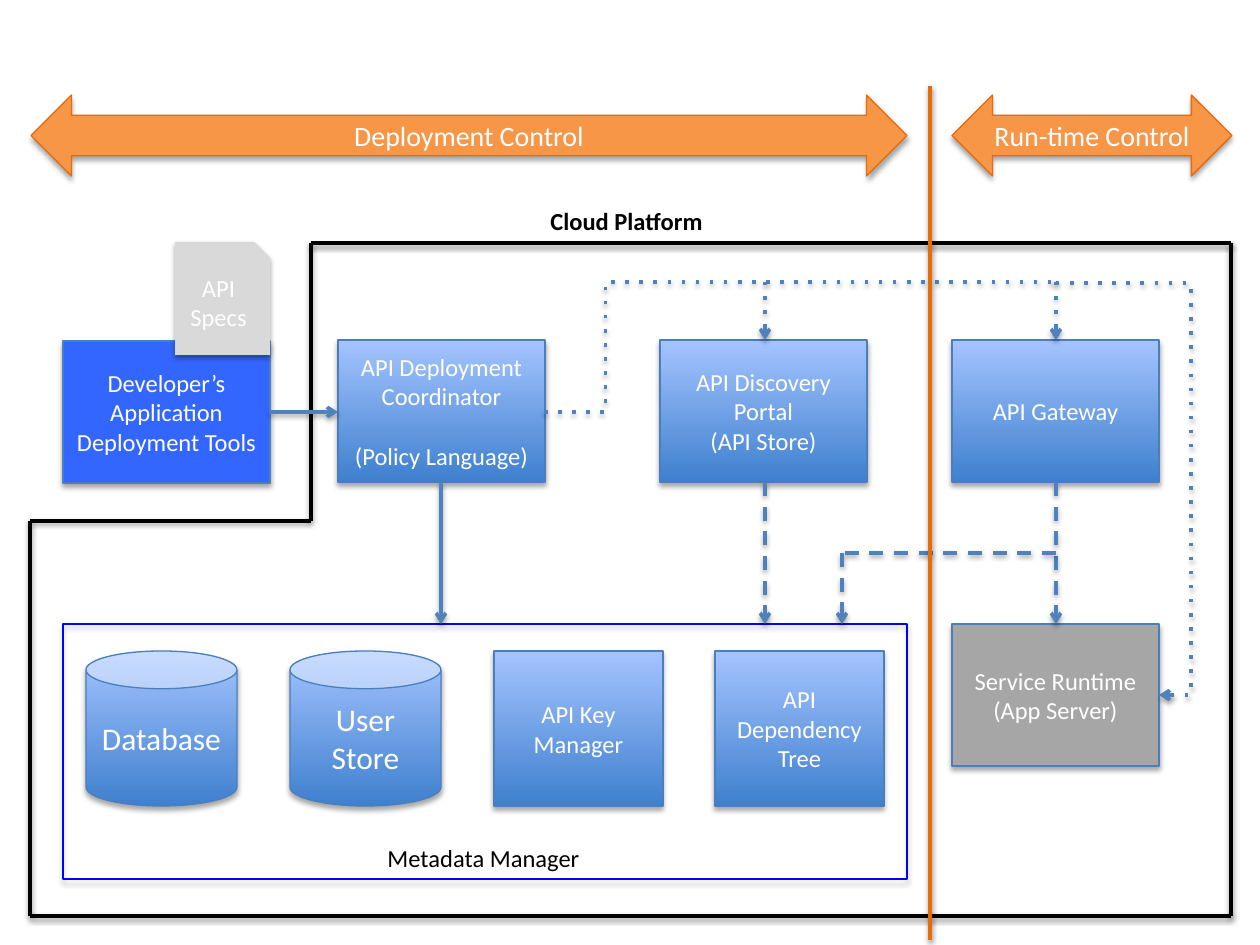
from dataclasses import dataclass
from typing import Optional

from lxml.etree import SubElement
from pptx import Presentation
from pptx.dml.color import RGBColor
from pptx.enum.shapes import MSO_CONNECTOR as Link, MSO_SHAPE as Form
from pptx.enum.text import MSO_ANCHOR as Anchor, PP_ALIGN as Align
from pptx.oxml.ns import qn
from pptx.util import Pt

PIXEL = 914400 / 126
FONT = "Calibri"
BLUE_EDGE, BLUE_LINK, ORANGE_EDGE = "4B7EBC", "4F81BD", "E46C0A"
ORANGE, WHITE, BLACK = "F79646", "FFFFFF", "000000"
GRADIENT = ("3F80CE", "A4C4FF")


@dataclass
class Block:
    """A preset shape with centred text; lengths are pixels."""
    left: int
    top: int
    width: int
    height: int
    lines: tuple = ()
    fill: Optional[str] = "gradient"
    edge: Optional[str] = BLUE_EDGE
    form: Form = Form.RECTANGLE
    size: int = 14
    gap: int = 0


@dataclass
class Wire:
    """A line between two points; bend is the elbow position, if any."""
    x1: int
    y1: int
    x2: int
    y2: int
    color: str = BLUE_LINK
    dash: Optional[str] = None
    arrow: bool = True
    bend: Optional[float] = None
    weight: float = 2


def emu(pixels: float) -> int:
    """Turn pixels into EMU."""
    return round(pixels * PIXEL)


def rgb(value: str) -> RGBColor:
    """Turn a hex string into a colour."""
    return RGBColor.from_string(value)


def add_shadow(properties, alpha: int, distance: float) -> None:
    """Put a soft downward shadow into the effect list."""
    effects = properties.find(qn("a:effectLst"))
    if effects is None:
        effects = SubElement(properties, qn("a:effectLst"))
    shadow = SubElement(effects, qn("a:outerShdw"), blurRad=str(Pt(3.1)),
                        dist=str(Pt(distance)), dir="5400000", rotWithShape="0")
    color = SubElement(shadow, qn("a:srgbClr"), val=BLACK)
    SubElement(color, qn("a:alpha"), val=str(alpha * 1000))


def style_text(para, text: str, size: int, color: str, bold: bool = False) -> None:
    """Write one paragraph and set its font."""
    para.text = text
    para.font.name = FONT
    para.font.size = Pt(size)
    para.font.bold = bold
    para.font.color.rgb = rgb(color)


def draw_block(page, block: Block) -> None:
    """Draw a shape with its fill, edge, shadow and text."""
    box = page.shapes.add_shape(block.form, emu(block.left), emu(block.top),
                                emu(block.width), emu(block.height))
    box.shadow.inherit = False
    if block.fill is None:
        box.fill.background()
    elif block.fill == "gradient":
        box.fill.gradient()
        box.fill.gradient_angle = 90
        for stop, color in zip(box.fill.gradient_stops, GRADIENT):
            stop.color.rgb = rgb(color)
    else:
        box.fill.solid()
        box.fill.fore_color.rgb = rgb(block.fill)
    if block.edge:
        box.line.color.rgb = rgb(block.edge)
        box.line.width = Pt(0.75)
    else:
        box.line.fill.background()
    add_shadow(box.element.spPr, 35, 1.8)
    frame = box.text_frame
    frame.word_wrap = True
    frame.vertical_anchor = Anchor.MIDDLE
    for index, text in enumerate(block.lines):
        para = frame.add_paragraph() if index else frame.paragraphs[0]
        style_text(para, text, block.size, WHITE)
        para.alignment = Align.CENTER
        if index and block.gap:
            para.space_before = Pt(block.gap)


def draw_wire(page, wire: Wire) -> None:
    """Draw a straight or elbow connector."""
    kind = Link.STRAIGHT if wire.bend is None else Link.ELBOW
    link = page.shapes.add_connector(kind, emu(wire.x1), emu(wire.y1),
                                     emu(wire.x2), emu(wire.y2))
    link.line.color.rgb = rgb(wire.color)
    link.line.width = Pt(wire.weight)
    properties = link.element.spPr
    outline = properties.find(qn("a:ln"))
    if wire.dash:
        SubElement(outline, qn("a:prstDash"), val=wire.dash)
    if wire.arrow:
        SubElement(outline, qn("a:tailEnd"), type="arrow")
    if wire.bend is not None:
        guides = properties.find(qn("a:prstGeom")).get_or_add_avLst()
        SubElement(guides, qn("a:gd"), name="adj1",
                   fmla=f"val {round(wire.bend * 100000)}")
    add_shadow(properties, 38, 1.6)


def draw_label(page, left: int, top: int, width: int, text: str, bold: bool) -> None:
    """Draw a one-line black label."""
    box = page.shapes.add_textbox(emu(left), emu(top), emu(width), emu(43))
    box.text_frame.word_wrap = False
    style_text(box.text_frame.paragraphs[0], text, 14, BLACK, bold)


CARD = (207, 142)
CAN = (151, 155)
STORE = (169, 155)
BLOCKS = [
    Block(63, 341, *CARD, ("Developer’s Application Deployment Tools",), "3366FF"),
    Block(338, 340, *CARD, ("API Deployment Coordinator", "(Policy Language)"), gap=17),
    Block(660, 340, *CARD, ("API Discovery Portal", "(API Store)")),
    Block(952, 340, *CARD, ("API Gateway",)),
    Block(952, 624, *CARD, ("Service Runtime", "(App Server)"), "A6A6A6"),
    Block(63, 624, 844, 255, fill=None, edge="0000FF"),
    Block(86, 651, *CAN, ("Database",), form=Form.CAN, size=18),
    Block(290, 651, *CAN, ("User Store",), form=Form.CAN, size=18),
    Block(494, 651, *STORE, ("API Key Manager",)),
    Block(715, 651, *STORE, ("API Dependency Tree",)),
]
FLOWS = [
    Wire(441, 482, 441, 624),
    Wire(765, 482, 765, 624, dash="dash"),
    Wire(1056, 482, 1056, 624, dash="dash"),
    Wire(544, 412, 1056, 282, dash="dot", arrow=False, bend=0.12),
    Wire(765, 282, 765, 340, dash="dot"),
    Wire(1056, 283, 1159, 695, dash="dot", bend=1.31),
    Wire(1056, 282, 1056, 340, dash="dot"),
    Wire(1056, 553, 842, 553, dash="dash", arrow=False),
    Wire(842, 553, 842, 624, dash="dash"),
]
PLATFORM = [(30, 916), (30, 521), (311, 521), (311, 243), (1231, 243), (1231, 916)]
BORDER = [Wire(*start, *end, color=BLACK, arrow=False)
          for start, end in zip(PLATFORM, PLATFORM[1:] + PLATFORM[:1])]
DIVIDER = Wire(930, 86, 930, 940, color=ORANGE_EDGE, arrow=False, weight=2.75)
PHASES = [Block(left, 95, width, 81, (text,), ORANGE, ORANGE_EDGE,
                Form.LEFT_RIGHT_ARROW, 16)
          for left, width, text in [(31, 876, "Deployment Control"),
                                    (952, 280, "Run-time Control")]]
SPECS = Block(175, 242, 95, 113, ("API Specs",), "D9D9D9", None,
              Form.SNIP_1_RECTANGLE)


def main() -> None:
    """Build and save the slide."""
    deck = Presentation()
    deck.slide_width, deck.slide_height = emu(1260), emu(945)
    page = deck.slides.add_slide(deck.slide_layouts[6])
    for block in BLOCKS:
        draw_block(page, block)
    draw_label(page, 375, 837, 220, "Metadata Manager", False)
    for wire in FLOWS:
        draw_wire(page, wire)
    draw_label(page, 538, 200, 179, "Cloud Platform", True)
    for wire in [*BORDER, Wire(270, 412, 338, 412), DIVIDER]:
        draw_wire(page, wire)
    for block in [*PHASES, SPECS]:
        draw_block(page, block)
    deck.save("out.pptx")


main()
